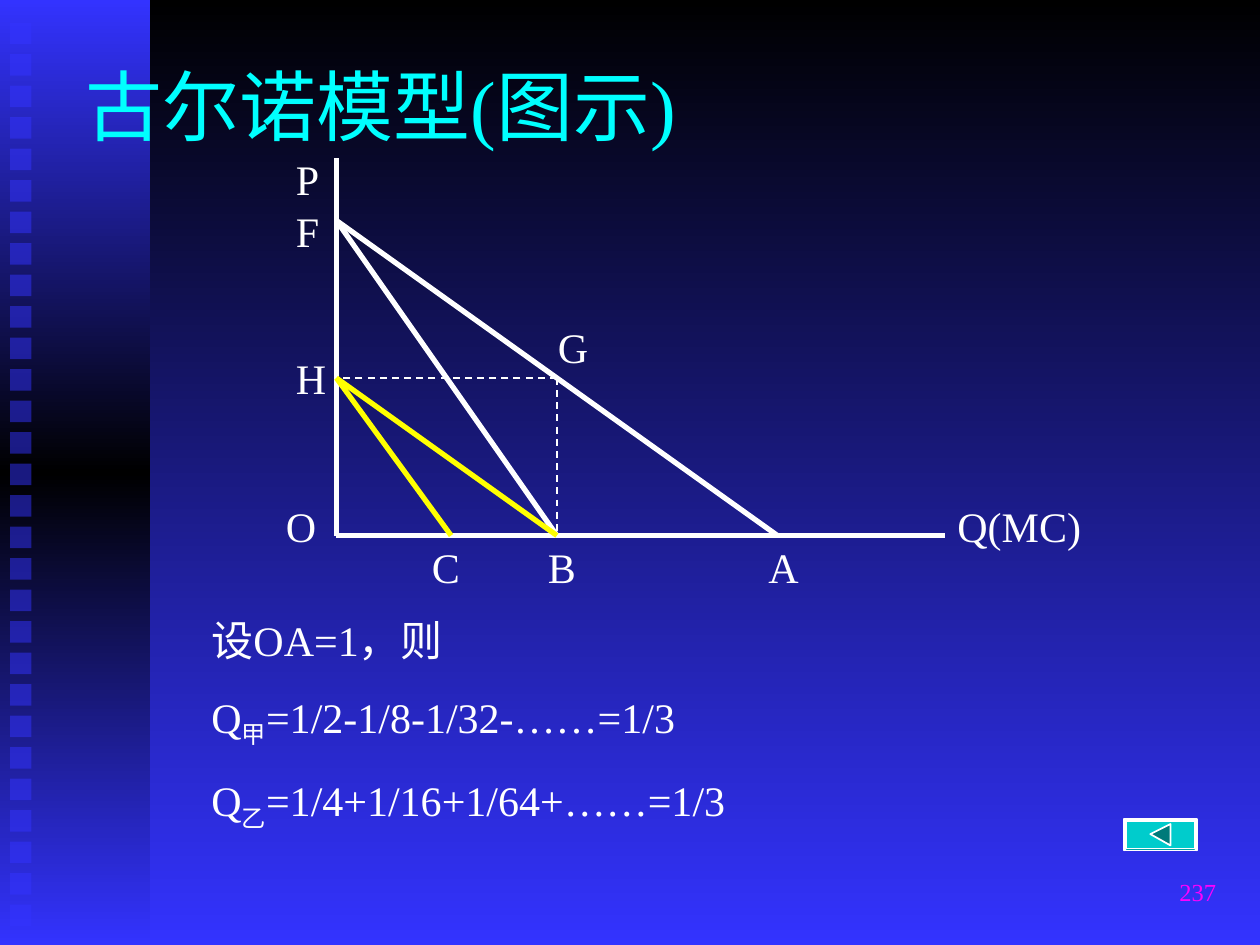
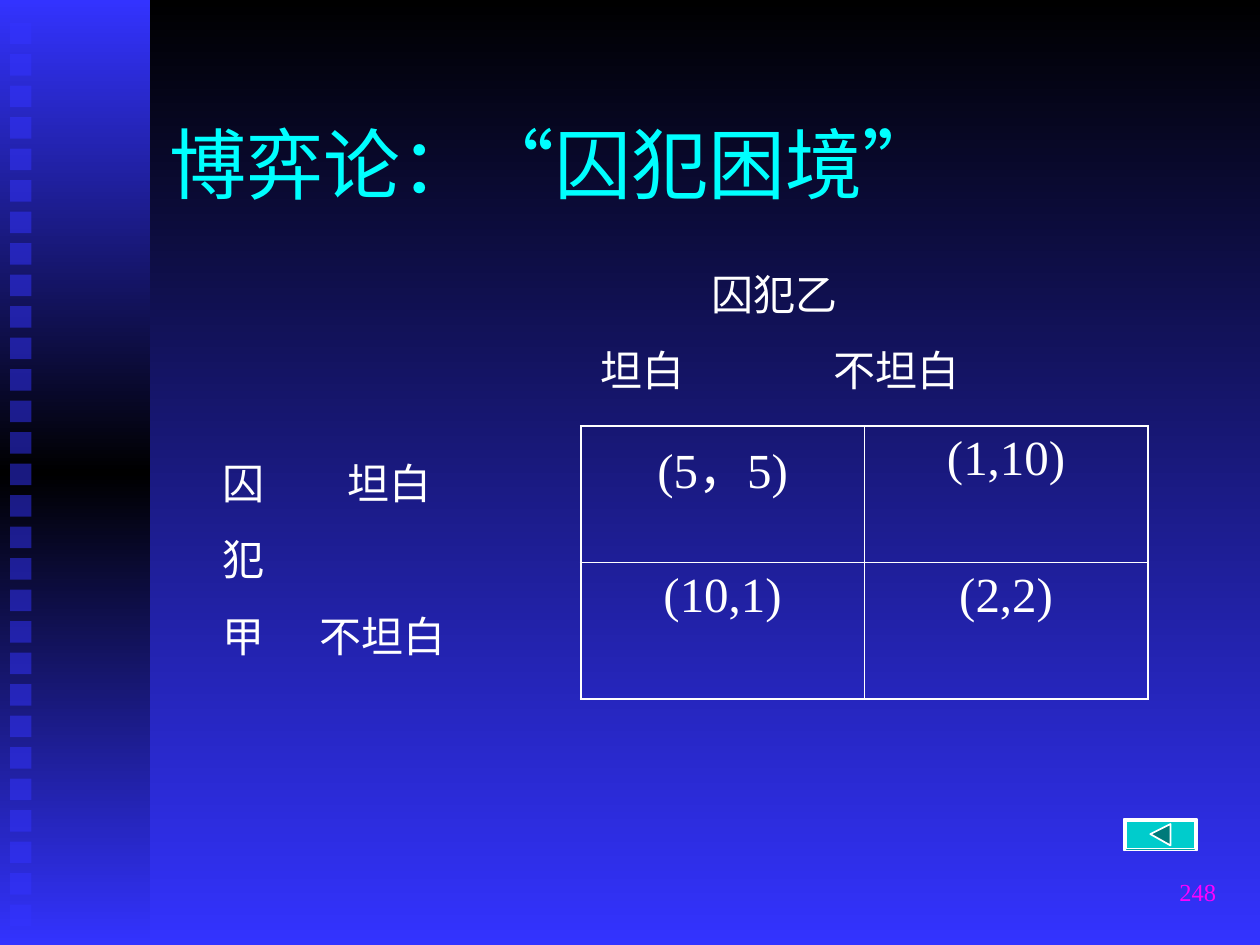
from copy import deepcopy

from lxml.etree import SubElement
from pptx import Presentation
from pptx.dml.color import RGBColor
from pptx.enum.dml import MSO_LINE
from pptx.enum.shapes import MSO_CONNECTOR, MSO_SHAPE
from pptx.enum.text import MSO_ANCHOR, PP_ALIGN
from pptx.oxml.ns import qn
from pptx.util import Inches, Pt

FONT = "Times New Roman"
WHITE, BLACK, BLUE = "FFFFFF", "000000", "3333FF"
CYAN, MAGENTA, YELLOW = "00FFFF", "FF00FF", "FFFF00"
BUTTON, BUTTON_ARROW = "00CCCC", "007A7A"
BODY_SIZE, BODY_GAP = 24, 15

# Corners of the Cournot diagram
POINTS = {
    "O": (2.67, 4.25), "P": (2.67, 1.25), "Q": (7.5, 4.25),
    "F": (2.67, 1.75), "H": (2.67, 3), "G": (4.42, 3),
    "A": (6.17, 4.25), "B": (4.42, 4.25), "C": (3.58, 4.25),
}
SEGMENTS = [
    ("OQ", WHITE, 3, False), ("FA", WHITE, 3, False),
    ("GB", WHITE, 1, True), ("GH", WHITE, 1, True),
    ("OP", WHITE, 3, False), ("FB", WHITE, 3, False),
    ("HB", YELLOW, 3, False), ("HC", YELLOW, 3, False),
]
LABELS = [
    ("O", 2.17, 3.92), ("Q(MC)", 7.5, 3.92), ("P", 2.25, 1.17),
    ("F", 2.25, 1.58), ("H", 2.25, 2.75), ("G", 4.33, 2.5),
    ("A", 6, 4.25), ("B", 4.25, 4.25), ("C", 3.33, 4.25),
]
PAYOFFS = [["(5，5)", "(1,10)"], ["(10,1)", "(2,2)"]]


def rgb(color):
    return RGBColor.from_string(color)


def set_gradient(owner, fill, colors):
    """Fill from top to bottom with evenly spaced colours."""
    fill.gradient()
    fill.gradient_angle = 270
    stops = next(owner.element.iter(qn("a:gsLst")))
    while len(stops) < len(colors):
        stops.append(deepcopy(stops[0]))
    for i, (stop, color) in enumerate(zip(fill.gradient_stops, colors)):
        stop.color.rgb = rgb(color)
        stop.position = i / (len(colors) - 1)


def style_text(p, size, color):
    for r in p.runs:
        r.font.name = FONT
        r.font.size = Pt(size)
        r.font.color.rgb = rgb(color)


def add_text(slide, lines, left, top, width, height, size=BODY_SIZE,
             color=WHITE, anchor=MSO_ANCHOR.TOP, align=PP_ALIGN.LEFT):
    box = slide.shapes.add_textbox(Inches(left), Inches(top), Inches(width), Inches(height))
    tf = box.text_frame
    tf.word_wrap = True
    tf.vertical_anchor = anchor
    for i, line in enumerate(lines):
        p = tf.add_paragraph() if i else tf.paragraphs[0]
        p.text = line
        p.alignment = align
        if i:
            p.space_before = Pt(BODY_GAP)
        style_text(p, size, color)
    return tf


def add_tab(p, position):
    tabs = SubElement(p._p.get_or_add_pPr(), qn("a:tabLst"))
    SubElement(tabs, qn("a:tab"), pos=str(Inches(position)), algn="l")


def add_subscript_formula(p, parts):
    """Write symbol, subscript and the rest as three runs."""
    for part in parts:
        p.add_run().text = part
    style_text(p, BODY_SIZE, WHITE)
    p.runs[1]._r.get_or_add_rPr().set("baseline", "-25000")


def add_box(slide, kind, left, top, width, height):
    sp = slide.shapes.add_shape(kind, Inches(left), Inches(top), Inches(width), Inches(height))
    sp.shadow.inherit = False
    sp.line.fill.background()
    return sp


def add_line(slide, start, end, color, width, dashed):
    x1, y1, x2, y2 = map(Inches, start + end)
    line = slide.shapes.add_connector(MSO_CONNECTOR.STRAIGHT, x1, y1, x2, y2)
    line.line.color.rgb = rgb(color)
    line.line.width = Pt(width)
    if dashed:
        line.line.dash_style = MSO_LINE.DASH
    SubElement(line._element.spPr, qn("a:effectLst"))


def add_band(slide):
    band = add_box(slide, MSO_SHAPE.RECTANGLE, 0, 0, 1.19, 7.5)
    set_gradient(band, band.fill, [BLUE, BLACK, BLUE])
    for i in range(29):
        square = add_box(slide, MSO_SHAPE.RECTANGLE, 0.08, 0.18 + 0.25 * i, 0.17, 0.17)
        square.fill.solid()
        square.fill.fore_color.rgb = rgb(BLUE)
        SubElement(next(square.element.iter(qn("a:srgbClr"))), qn("a:alpha"), val="50000")


def add_back_button(slide):
    frame = add_box(slide, MSO_SHAPE.BEVEL, 8.92, 6.5, 0.58, 0.25)
    frame.adjustments[0] = 0.06
    builder = slide.shapes.build_freeform(Inches(9.13), Inches(6.62), scale=1.0)
    builder.add_line_segments([(Inches(9.29), Inches(6.54)), (Inches(9.29), Inches(6.71))])
    arrow = builder.convert_to_shape()
    arrow.shadow.inherit = False
    for sp, color in ((frame, BUTTON), (arrow, BUTTON_ARROW)):
        sp.fill.solid()
        sp.fill.fore_color.rgb = rgb(color)
        sp.line.color.rgb = rgb(WHITE)
        sp.line.width = Pt(1)


def add_slide(prs, title, title_box, number):
    """Start a slide with the band, title, back button and page number."""
    slide = prs.slides.add_slide(prs.slide_layouts[6])
    add_band(slide)
    add_text(slide, [title], *title_box, size=44, color=CYAN, anchor=MSO_ANCHOR.MIDDLE)
    add_back_button(slide)
    add_text(slide, [number], 7.67, 6.83, 2.08, 0.5, size=14, color=MAGENTA,
             anchor=MSO_ANCHOR.MIDDLE, align=PP_ALIGN.RIGHT)
    return slide


def set_borders(cell, outer_sides):
    tc_pr = cell._tc.get_or_add_tcPr()
    for side in "LRTB":
        width = Pt(1.08 if side in outer_sides else 0.45)
        ln = SubElement(tc_pr, qn(f"a:ln{side}"), w=str(width))
        SubElement(SubElement(ln, qn("a:solidFill")), qn("a:srgbClr"), val=WHITE)


def add_payoff_table(slide, rows, left, top, width, height):
    table = slide.shapes.add_table(len(rows), len(rows[0]), Inches(left), Inches(top),
                                   Inches(width), Inches(height)).table
    table.first_row = table.horz_banding = False
    for i, row in enumerate(rows):
        for j, payoff in enumerate(row):
            cell = table.cell(i, j)
            set_borders(cell, "TB"[i] + "LR"[j])
            cell.fill.background()
            p = cell.text_frame.paragraphs[0]
            p.text = payoff
            p.alignment = PP_ALIGN.CENTER
            style_text(p, 28, WHITE)


def build_cournot(prs):
    slide = add_slide(prs, "古尔诺模型(图示)", (0.58, 0.42, 5.5, 0.83), "237")
    for (start, end), color, width, dashed in SEGMENTS:
        add_line(slide, POINTS[start], POINTS[end], color, width, dashed)
    for text, left, top in LABELS:
        add_text(slide, [text], left, top, 0.75 if len(text) == 1 else 1.25, 0.5)
    tf = add_text(slide, ["设OA=1，则", "", ""], 1.58, 4.83, 7, 1.83)
    add_subscript_formula(tf.paragraphs[1], ["Q", "甲", "=1/2-1/8-1/32-……=1/3"])
    add_subscript_formula(tf.paragraphs[2], ["Q", "乙", "=1/4+1/16+1/64+……=1/3"])


def build_prisoners(prs):
    slide = add_slide(prs, "博弈论：“囚犯困境”", (1.25, 0.96, 8.5, 0.67), "248")
    add_payoff_table(slide, PAYOFFS, 4.61, 3.38, 4.5, 2.17)
    columns = add_text(slide, ["\t囚犯乙", "坦白\t不坦白"], 4.67, 2.08, 4.08, 1.11)
    rows = add_text(slide, ["囚\t坦白", "犯", "甲\t不坦白"], 1.67, 3.58, 2.08, 2.33)
    for tf, index, position in ((columns, 0, 0.88), (columns, 1, 1.85),
                                (rows, 0, 0.99), (rows, 2, 0.77)):
        add_tab(tf.paragraphs[index], position)


def main():
    prs = Presentation()
    prs.slide_width, prs.slide_height = Inches(10), Inches(7.5)
    master = prs.slide_master
    set_gradient(master, master.background.fill, [BLACK, BLUE])
    build_cournot(prs)
    build_prisoners(prs)
    prs.save("out.pptx")


if __name__ == "__main__":
    main()
